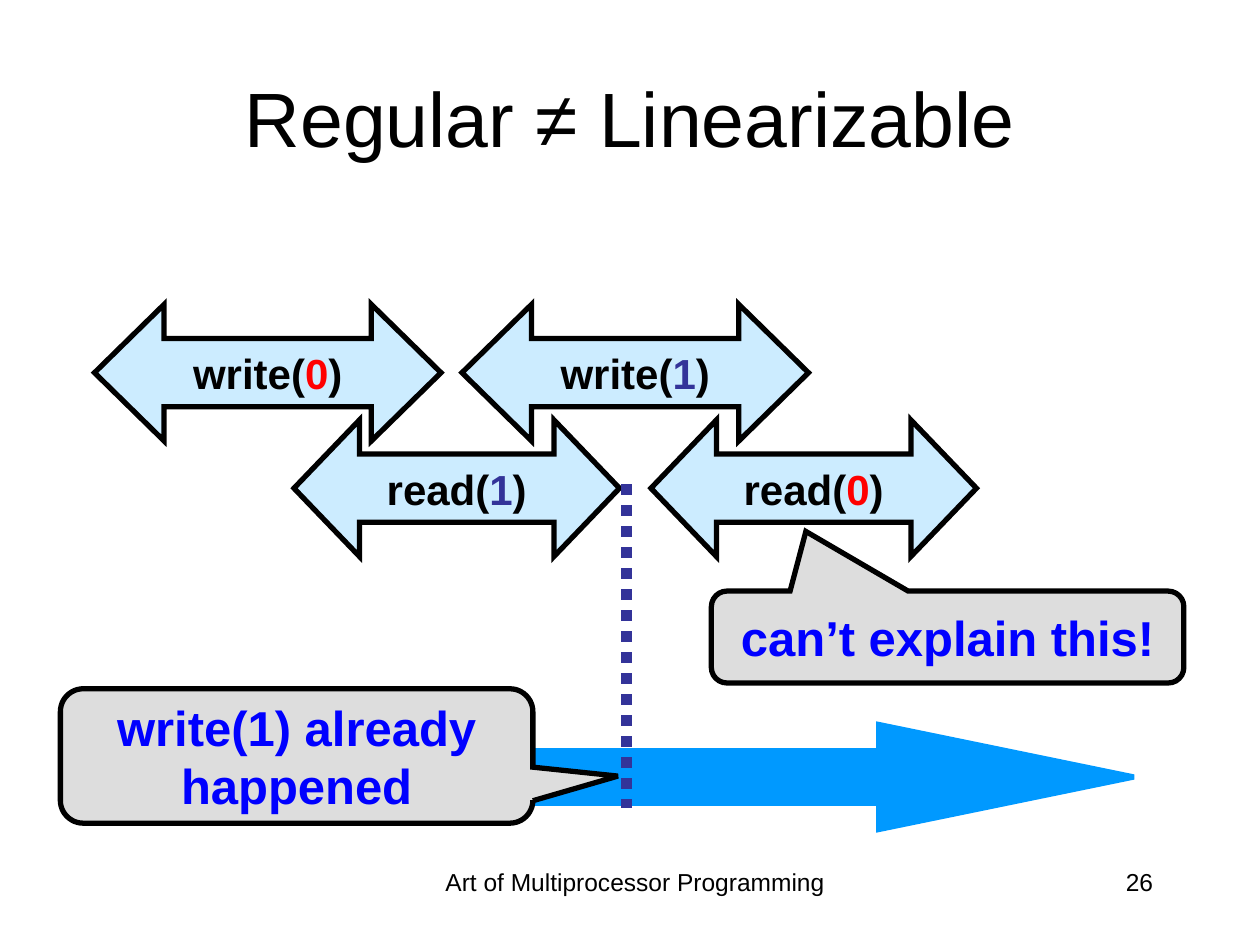
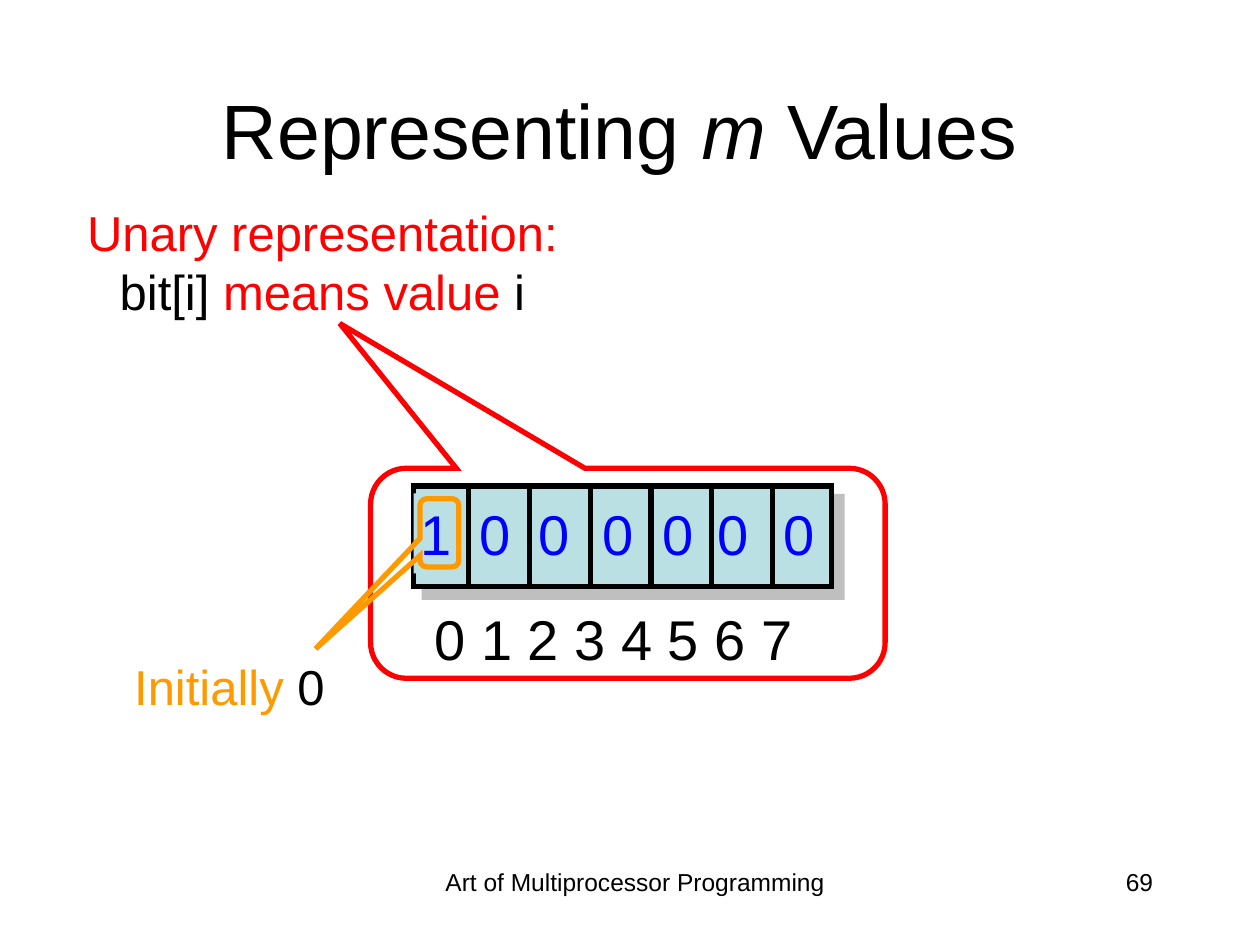
from dataclasses import dataclass

from lxml import etree
from pptx import Presentation
from pptx.dml.color import RGBColor
from pptx.enum.dml import MSO_LINE
from pptx.enum.shapes import MSO_CONNECTOR, MSO_SHAPE
from pptx.enum.text import MSO_ANCHOR, PP_ALIGN
from pptx.oxml.ns import qn
from pptx.util import Inches, Pt

LEFT, CENTER, RIGHT = PP_ALIGN.LEFT, PP_ALIGN.CENTER, PP_ALIGN.RIGHT
TOP, MIDDLE = MSO_ANCHOR.TOP, MSO_ANCHOR.MIDDLE
RECT = MSO_SHAPE.RECTANGLE
SPAN_ARROW = MSO_SHAPE.LEFT_RIGHT_ARROW
TIME_ARROW = MSO_SHAPE.RIGHT_ARROW
CALLOUT = MSO_SHAPE.ROUNDED_RECTANGULAR_CALLOUT
STRAIGHT = MSO_CONNECTOR.STRAIGHT
DOTTED = MSO_LINE.ROUND_DOT


@dataclass(frozen=True)
class Theme:
    font: str = "Arial"
    ink: str = "000000"
    red: str = "FF0000"
    indigo: str = "333399"
    blue: str = "0000FF"
    orange: str = "FF9900"
    span: str = "CCECFF"
    timeline: str = "0099FF"
    note: str = "DDDDDD"
    cell: str = "BBE0E3"
    shadow: str = "808080"
    title: int = 44
    digit: int = 32
    body: int = 28
    label: int = 24
    footer: int = 14
    stroke: int = 3
    dots: int = 6


T = Theme()
WIDTH, HEIGHT = Inches(10), Inches(7.5)
COLS, ROWS = 120, 90


def x(cols):
    return round(WIDTH * cols / COLS)


def y(rows):
    return round(HEIGHT * rows / ROWS)


def place(box):
    left, top, width, height = box
    return x(left), y(top), x(width), y(height)


def rgb(color):
    return RGBColor.from_string(color)


def write(sp, runs, size, align=CENTER, anchor=TOP, bold=False, wrap=True):
    tf = sp.text_frame
    tf.word_wrap = wrap
    tf.vertical_anchor = anchor
    p = tf.paragraphs[0]
    p.alignment = align
    for text, color, *style in runs:
        r = p.add_run()
        r.text = text
        r.font.name = T.font
        r.font.size = Pt(size)
        r.font.bold = bold
        r.font.italic = "italic" in style
        r.font.color.rgb = rgb(color)


def add_text(s, box, runs, size, **options):
    write(s.shapes.add_textbox(*place(box)), runs, size, **options)


def add_shape(s, kind, box, fill=None, line=None, adjust=()):
    sp = s.shapes.add_shape(kind, *place(box))
    sp.shadow.inherit = False
    for i, value in enumerate(adjust):
        sp.adjustments[i] = value
    if fill:
        sp.fill.solid()
        sp.fill.fore_color.rgb = rgb(fill)
    else:
        sp.fill.background()
    if line:
        sp.line.color.rgb = rgb(line)
        sp.line.width = Pt(T.stroke)
        ln = sp._element.spPr.find(qn("a:ln"))
        etree.SubElement(ln, qn("a:miter"), lim="800000")
    else:
        sp.line.fill.background()
    return sp


def add_vertical(s, col, top, bottom, color, width, dash=None):
    line = s.shapes.add_connector(STRAIGHT, x(col), y(top), x(col), y(bottom))
    line.line.color.rgb = rgb(color)
    line.line.width = Pt(width)
    if dash:
        line.line.dash_style = dash
    etree.SubElement(line._element.spPr, qn("a:effectLst"))


def drop_shadow(sp, distance):
    effects = sp._element.spPr.find(qn("a:effectLst"))
    outer = etree.SubElement(effects, qn("a:outerShdw"), blurRad="0",
                             dist=str(Pt(distance)), dir="2700000",
                             algn="ctr", rotWithShape="0")
    color = etree.SubElement(outer, qn("a:srgbClr"), val=T.shadow)
    etree.SubElement(color, qn("a:alpha"), val="50000")


def add_slide(prs, number, title, title_box):
    s = prs.slides.add_slide(prs.slide_layouts[6])
    add_text(s, title_box, title, T.title, anchor=MIDDLE)
    add_text(s, (40, 82, 41, 6), [("Art of Multiprocessor Programming", T.ink)],
             T.footer)
    add_text(s, (86, 82, 25, 6), [(number, T.ink)], T.footer, align=RIGHT)
    return s


def add_call(s, name, value, col, row, width, head):
    sp = add_shape(s, SPAN_ARROW, (col, row, width, 13), T.span, T.ink, (0.5, head))
    value_color = T.red if value == "0" else T.indigo
    write(sp, [(name + "(", T.ink), (value, value_color), (")", T.ink)],
          T.label, anchor=MIDDLE, bold=True, wrap=False)


def add_note(s, text, box, tail):
    sp = add_shape(s, CALLOUT, box, T.note, T.ink, (*tail, 0.17))
    write(sp, [(text, T.blue)], T.body, anchor=MIDDLE, bold=True)


def build_regular(prs):
    s = add_slide(prs, "26", [("Regular ≠ Linearizable", T.ink)], (6, 3.6, 108, 15))
    write_row, read_row = 29, 40
    add_call(s, "write", "0", 9, write_row, 33, 0.51)
    add_call(s, "read", "1", 28, read_row, 31, 0.48)
    add_call(s, "write", "1", 44, write_row, 33, 0.51)
    add_call(s, "read", "0", 62, read_row, 31, 0.48)
    add_shape(s, TIME_ARROW, (11, 69, 97, 10), T.timeline, T.timeline, (0.5, 2.43))
    add_vertical(s, 59.65, 46.1, 77, T.indigo, T.dots, DOTTED)
    add_note(s, "write(1) already happened", (5.75, 65.6, 45, 12.8), (0.68, 0.15))
    add_note(s, "can’t explain this!", (67.75, 56.3, 45, 8.75), (-0.3, -1.15))


def add_register(s, left, top, width, height, bits):
    sp = add_shape(s, RECT, (left, top, width, height), T.cell, T.ink)
    drop_shadow(sp, 8.5)
    first_divider, pitch = left + 5.25, 5.78
    for i in range(len(bits) - 1):
        add_vertical(s, first_divider + i * pitch, top, top + height, T.ink, T.stroke)
    digit_top, digit_height = top + 0.7, 7.6
    for i, (bit, center) in enumerate(bits):
        width = 4.2 if i == 0 else 6
        box = (center - width / 2, digit_top, width, digit_height)
        sp = add_shape(s, RECT, box, T.cell if i == 0 else None)
        write(sp, [(bit, T.blue)], T.digit, wrap=False)


def build_unary(prs):
    title = [("Representing ", T.ink), ("m", T.ink, "italic"), (" Values", T.ink)]
    s = add_slide(prs, "69", title, (8, 4.8, 102, 15))
    centers = (41.5, 47.2, 52.8, 58.9, 64.6, 69.8, 76.1)
    add_register(s, 39.4, 46.3, 39.8, 9.6, list(zip("1000000", centers)))
    add_text(s, (40.2, 57, 38, 7.7), [("0 1 2 3 4 5 6 7", T.ink)], T.digit,
             align=LEFT, wrap=False)
    add_text(s, (11, 61.9, 21.1, 6.8), [("Initially ", T.orange), ("0", T.ink)],
             T.body, align=RIGHT, wrap=False)
    add_shape(s, CALLOUT, (35.3, 44.6, 49, 20), None, T.red, (-0.56, -1.19, 0.17))
    add_text(s, (5.2, 18.7, 51, 12.4),
             [("Unary representation: ", T.red), ("bit[i]", T.ink),
              (" means value ", T.red), ("i", T.ink)], T.body)
    add_shape(s, CALLOUT, (40, 47.5, 3.7, 6.5), None, T.orange, (-3.19, 1.7, 0.17))


def main():
    prs = Presentation()
    prs.slide_width, prs.slide_height = WIDTH, HEIGHT
    build_regular(prs)
    build_unary(prs)
    prs.save("out.pptx")


if __name__ == "__main__":
    main()
